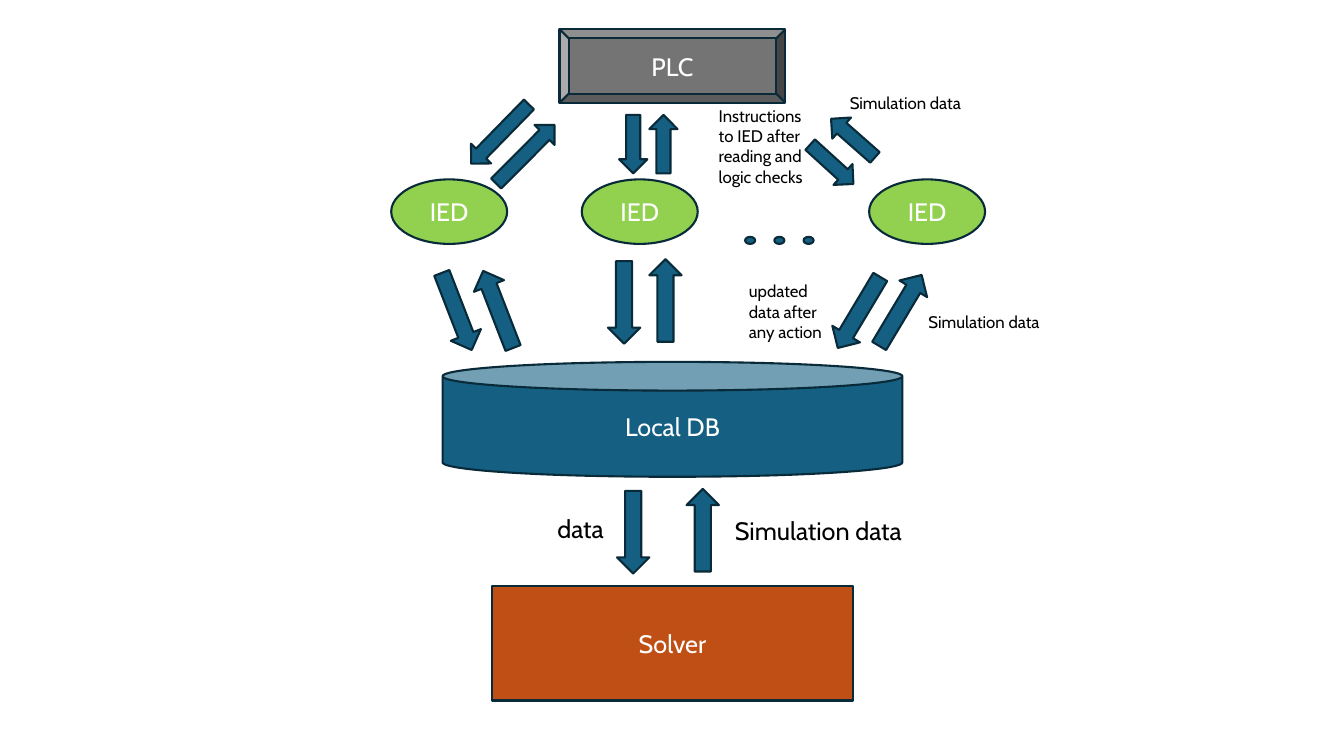
from collections import namedtuple
from dataclasses import dataclass

from pptx import Presentation
from pptx.dml.color import RGBColor
from pptx.enum import shapes, text
from pptx.util import Emu, Pt

PX = 9144  # 100 px to the inch
KIND = shapes.MSO_SHAPE
Box = namedtuple("Box", "left top width height")


@dataclass(frozen=True)
class Theme:
    font: str = "Cabin"
    large: int = 18
    small: int = 12
    outline_width: float = 1.5
    outline: str = "092A39"
    blue: str = "156082"
    green: str = "92D050"
    gray: str = "747474"
    orange: str = "C04F15"
    light: str = "FFFFFF"
    dark: str = "000000"


THEME = Theme()
WIDE, SLIM, SHORT = (32, 82), (28, 82), (28, 58)  # arrow width and length


def px(box):
    return [Emu(length * PX) for length in box]


def within(region, left, top, width, height):
    """Turn an offset inside a region into a box on the slide."""
    return Box(region.left + left, region.top + top, width, height)


def write(frame, wording, size, color):
    frame.text = wording
    font = frame.paragraphs[0].runs[0].font
    font.name, font.size = THEME.font, Pt(size)
    font.color.rgb = RGBColor.from_string(color)


def add_node(slide, kind, box, fill, caption=None):
    node = slide.shapes.add_shape(kind, *px(box))
    node.shadow.inherit = False
    node.fill.solid()
    node.fill.fore_color.rgb = RGBColor.from_string(fill)
    node.line.color.rgb = RGBColor.from_string(THEME.outline)
    node.line.width = Pt(THEME.outline_width)
    if caption:
        frame = node.text_frame
        frame.vertical_anchor = text.MSO_ANCHOR.MIDDLE
        write(frame, caption, THEME.large, THEME.light)
        frame.paragraphs[0].alignment = text.PP_ALIGN.CENTER
    return node


def add_label(slide, box, wording, size, wrap):
    frame = slide.shapes.add_textbox(*px(box)).text_frame
    frame.word_wrap = wrap
    frame.auto_size = text.MSO_AUTO_SIZE.SHAPE_TO_FIT_TEXT
    write(frame, wording, size, THEME.dark)


def add_flows(slide, region, flows):
    """Draw arrows given as offset, size and clockwise turn from downward."""
    for left, top, size, turn in flows:
        arrow = add_node(slide, KIND.DOWN_ARROW, within(region, left, top, *size), THEME.blue)
        arrow.rotation = turn


def draw_ied_row(slide, region):
    for left in (0, 189, 474):
        add_node(slide, KIND.OVAL, within(region, left, 0, 115, 64), THEME.green, "IED")
    for dot in range(3):
        add_node(slide, KIND.OVAL, within(region, 351 + 29 * dot, 57, 10, 7), THEME.blue)


def draw_plc_flows(slide, region):
    add_flows(slide, region, [
        (0, 5, SLIM, 44.3), (25, 25, SLIM, 224.9),
        (132, 27, SHORT, 0), (162, 27, SHORT, 180),
        (329, 47, SHORT, 312.3), (350, 21, SHORT, 131.4),
    ])
    add_label(slide, within(region, 221, 13, 112, 91),
              "Instructions to IED after reading and logic checks", THEME.small, True)
    add_label(slide, within(region, 351, 0, 143, 30), "Simulation data", THEME.small, True)


def draw_database_flows(slide, region):
    """Each pair is one arrow down and its reverse, 41 px right and 2 px up."""
    for left, top, turn in ((0, 11, 338.8), (166, 2, 0), (399, 12, 30.9)):
        add_flows(slide, region, [
            (left, top, WIDE, turn),
            (left + 41, top - 2, WIDE, (turn + 180) % 360),
        ])
    add_label(slide, within(region, 296, 17, 100, 71),
              "updated data after any action", THEME.small, True)
    add_label(slide, within(region, 474, 47, 135, 30), "Simulation data", THEME.small, False)


def draw_simulation_flows(slide, region):
    add_flows(slide, region, [(69, 2, WIDE, 0), (138, 0, WIDE, 180)])
    add_label(slide, within(region, 0, 19, 69, 40), "data", THEME.large, False)
    add_label(slide, within(region, 176, 21, 192, 40), "Simulation data", THEME.large, False)


def main():
    deck = Presentation()
    deck.slide_width, deck.slide_height = px((1333, 750))
    slide = deck.slides.add_slide(deck.slide_layouts[6])

    add_node(slide, KIND.RECTANGLE, Box(488, 581, 358, 114), THEME.orange, "Solver")
    add_node(slide, KIND.CAN, Box(439, 359, 456, 114), THEME.blue, "Local DB")
    draw_simulation_flows(slide, Box(543, 485, 368, 84))
    draw_ied_row(slide, Box(388, 178, 589, 64))
    add_node(slide, KIND.BEVEL, Box(555, 29, 224, 73), THEME.gray, "PLC")
    draw_plc_flows(slide, Box(482, 87, 494, 107))
    draw_database_flows(slide, Box(437, 257, 609, 94))

    deck.save("out.pptx")


if __name__ == "__main__":
    main()
